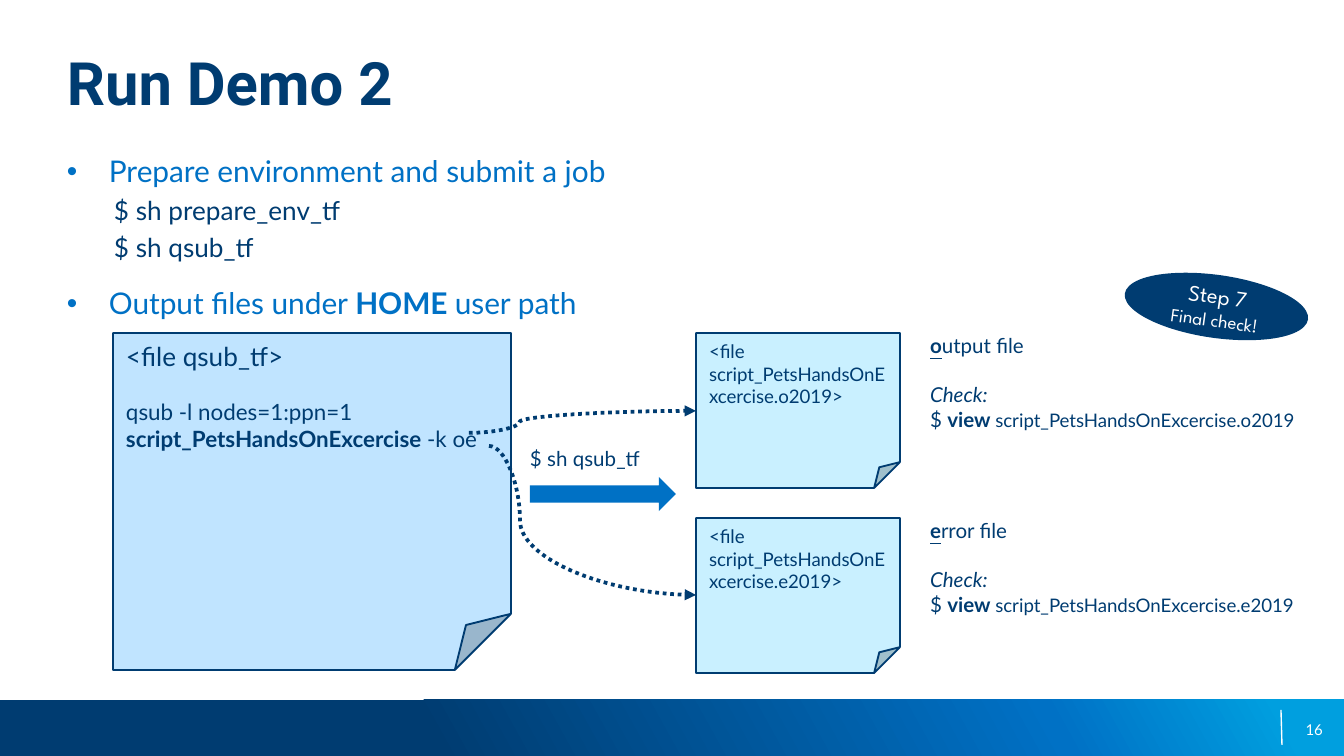
from copy import deepcopy

from pptx import Presentation
from pptx.dml.color import RGBColor
from pptx.enum.dml import MSO_LINE
from pptx.enum.shapes import MSO_CONNECTOR, MSO_SHAPE
from pptx.enum.text import MSO_ANCHOR, PP_ALIGN
from pptx.oxml.ns import qn
from pptx.util import Emu, Pt
from lxml.etree import SubElement

PX = 914400 / 134.4
THEME = {
    "navy": RGBColor.from_string("003C71"),
    "blue": RGBColor.from_string("0071C5"),
    "cyan": RGBColor.from_string("009FDF"),
    "pale": RGBColor.from_string("C0E4FF"),
    "ice": RGBColor.from_string("C9F0FF"),
    "white": RGBColor.from_string("FFFFFF"),
    "body": "Lato", "head": "Roboto", "badge": "League Spartan",
    "title": 32, "bullet": 16, "code": 14, "step": 12, "note": 11, "small": 10, "page": 8,
}
FILE = "script_PetsHandsOnExcercise"


def px(*values):
    return [Emu(round(v * PX)) for v in values]


def write(sp, paragraphs, size, color="navy", font="body", inset=(0, 0), **frame):
    tf = sp.text_frame
    side, top = px(*inset)
    values = {"word_wrap": True, "margin_left": side, "margin_right": side,
              "margin_top": top, "margin_bottom": top,
              "vertical_anchor": MSO_ANCHOR.TOP, **frame}
    for name, value in values.items():
        setattr(tf, name, value)
    for i, (layout, runs) in enumerate(paragraphs):
        p = tf.paragraphs[0] if i == 0 else tf.add_paragraph()
        for name, value in {"alignment": PP_ALIGN.LEFT, **layout}.items():
            setattr(p, name, value)
        for text, style in runs:
            r = p.add_run()
            r.text = text
            values = {"name": THEME[font], "size": Pt(size), **style}
            r.font.color.rgb = THEME[values.pop("color", color)]
            for name, value in values.items():
                setattr(r.font, name, value)


prs = Presentation()
prs.slide_width, prs.slide_height = px(1344, 756)
s = prs.slides.add_slide(prs.slide_layouts[6])

sp = s.shapes.add_shape(MSO_SHAPE.RECTANGLE, *px(0, 700, 1344, 56))
sp.shadow.inherit = False
sp.line.fill.background()
sp.fill.gradient()
sp.fill.gradient_angle = 29
stops = sp._element.spPr.find(".//" + qn("a:gsLst"))
stops.append(deepcopy(stops[-1]))
for stop, position, color in zip(sp.fill.gradient_stops, (0.32, 0.78, 0.95), ("navy", "blue", "cyan")):
    stop.position = position
    stop.color.rgb = THEME[color]

sp = s.shapes.add_connector(MSO_CONNECTOR.STRAIGHT, *px(1281, 710, 1282, 745))
sp.line.color.rgb = THEME["white"]
sp.line.width = Pt(0.75)
SubElement(sp._element.spPr, qn("a:effectLst"))

sp = s.shapes.add_textbox(*px(1281, 710, 42, 40))
write(sp, [({"alignment": PP_ALIGN.RIGHT}, [("16", {})])], THEME["page"], "white",
      vertical_anchor=MSO_ANCHOR.MIDDLE)
sp = s.shapes.add_textbox(*px(67, 46, 1210, 73))
write(sp, [({}, [("Run Demo 2", {"bold": True})])], THEME["title"], font="head")

bullet = {"size": Pt(THEME["bullet"]), "color": "blue"}
sp = s.shapes.add_textbox(*px(67, 153, 1257, 519))
write(sp, [
    ({}, [("Prepare environment and submit a job", bullet)]),
    ({"space_before": Pt(3)}, [("$ sh prepare_env_tf", {})]),
    ({"space_before": Pt(3)}, [("$ sh qsub_tf", {})]),
    ({"space_before": Pt(12)}, [("Output files under ", bullet), ("HOME ", {**bullet, "bold": True}),
                                ("user path", bullet)]),
], THEME["code"])
for i, p in enumerate(sp.text_frame.paragraphs):
    pPr = p._p.get_or_add_pPr()
    if i in (0, 3):
        pPr.set("marL", str(px(42)[0]))
        pPr.set("indent", str(px(-42)[0]))
        SubElement(pPr, qn("a:buFont")).set("typeface", "Arial")
        SubElement(pPr, qn("a:buChar")).set("char", "•")
    else:
        pPr.set("marL", str(px(47)[0]))

files = [
    ((113, 333, 398, 337), "pale", THEME["step"], [
        ({}, [("<file qsub_tf>", {"size": Pt(THEME["code"])})]),
        ({"space_before": Pt(14.4)}, [("qsub -l nodes=1:ppn=1 ", {}), (FILE + " ", {"bold": True}),
                                      ("-k oe", {})])]),
]
outputs = [("o", "utput file", 333), ("e", "rror file", 518)]
for letter, rest, top in outputs:
    files.append(((696, top, 204, 155), "ice", THEME["small"],
                  [({}, [(f"<file {FILE}.{letter}2019>", {})])]))
for box, color, size, paragraphs in files:
    sp = s.shapes.add_shape(MSO_SHAPE.FOLDED_CORNER, *px(*box))
    sp.shadow.inherit = False
    sp.fill.solid()
    sp.fill.fore_color.rgb = THEME[color]
    sp.line.color.rgb = THEME["navy"]
    sp.line.width = Pt(1)
    write(sp, paragraphs, size, inset=(13, 7))

sp = s.shapes.add_textbox(*px(530, 446, 146, 26))
write(sp, [({}, [("$ sh qsub_tf", {})])], THEME["note"])

for ends, bend in (((469, 433, 696, 411), 22300), ((489, 446, 696, 595), 15000)):
    sp = s.shapes.add_connector(MSO_CONNECTOR.CURVE, *px(*ends))
    sp.line.color.rgb = THEME["navy"]
    sp.line.width = Pt(2)
    sp.line.dash_style = MSO_LINE.ROUND_DOT
    spPr = sp._element.spPr
    SubElement(spPr.find(qn("a:ln")), qn("a:tailEnd")).set("type", "triangle")
    gd = SubElement(spPr.find(qn("a:prstGeom")).find(qn("a:avLst")), qn("a:gd"))
    gd.set("name", "adj1")
    gd.set("fmla", f"val {bend}")
    SubElement(spPr, qn("a:effectLst"))

for letter, rest, top in outputs:
    sp = s.shapes.add_textbox(*px(930, top, 382, 99))
    write(sp, [
        ({}, [(letter, {"bold": True, "underline": True}), (rest, {})]),
        ({"space_before": Pt(13.2)}, [("Check:", {"italic": True})]),
        ({}, [("$ ", {}), ("view ", {"bold": True}),
              (f"{FILE}.{letter}2019", {"size": Pt(THEME["small"])})]),
    ], THEME["note"])

for kind, box, color, turn in ((MSO_SHAPE.OVAL, (1124, 275, 185, 63), "navy", 8),
                               (MSO_SHAPE.RIGHT_ARROW, (530, 477, 146, 34), "blue", 0)):
    sp = s.shapes.add_shape(kind, *px(*box))
    sp.shadow.inherit = False
    sp.fill.solid()
    sp.fill.fore_color.rgb = THEME[color]
    sp.line.fill.background()
    sp.rotation = turn
    if kind == MSO_SHAPE.OVAL:
        center = {"alignment": PP_ALIGN.CENTER}
        write(sp, [(center, [("Step 7", {})]),
                   (center, [("Final check!", {"size": Pt(THEME["small"])})])],
              THEME["step"], "white", "badge", (13, 7), vertical_anchor=MSO_ANCHOR.MIDDLE)

prs.save("out.pptx")
